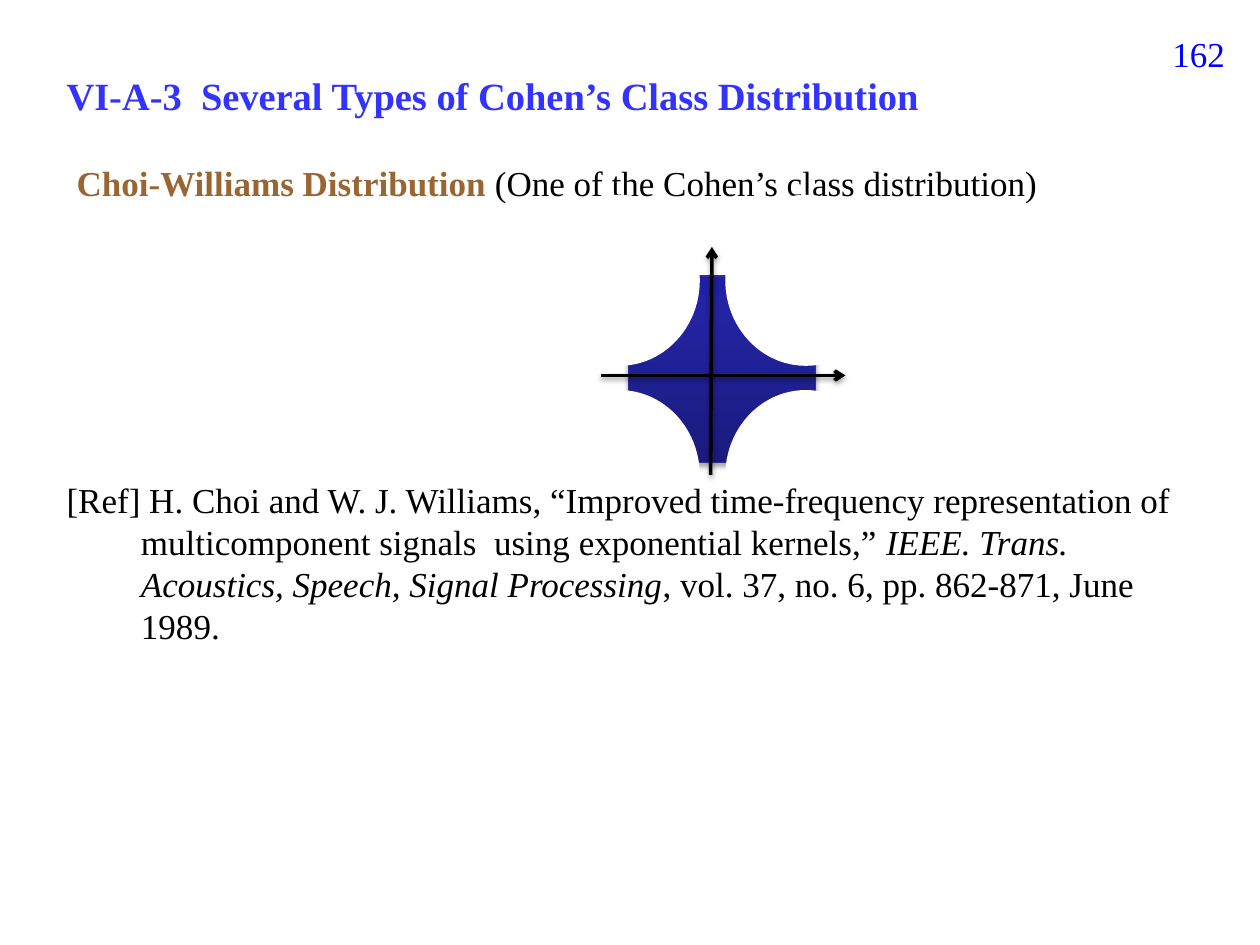
from dataclasses import dataclass
from itertools import product

from lxml.etree import SubElement
from pptx import Presentation
from pptx.dml.color import RGBColor
from pptx.enum.shapes import MSO_CONNECTOR, MSO_SHAPE
from pptx.enum.text import PP_ALIGN
from pptx.oxml.ns import qn
from pptx.util import Inches, Pt


@dataclass(frozen=True)
class Theme:
    font: str = "Times New Roman"
    heading_size: int = 22
    body_size: int = 20
    heading: str = "3333FF"
    page_number: str = "0000FF"
    term: str = "996633"
    ink: str = "000000"
    paper: str = "FFFFFF"
    kernel_edge: str = "2F2F98"
    kernel_stops: tuple = ((0, "1B1B7E"), (80, "2323A3"), (100, "2020A6"))


THEME = Theme()


def color(value):
    return RGBColor.from_string(value)


def add_text(slide, box, runs, size=THEME.body_size, align=PP_ALIGN.LEFT, hanging=0):
    """Place one paragraph; runs are (text, colour, font format) triples."""
    frame = slide.shapes.add_textbox(*map(Inches, box)).text_frame
    frame.word_wrap = True
    paragraph = frame.paragraphs[0]
    paragraph.alignment = align
    if hanging:
        properties = paragraph._p.get_or_add_pPr()
        properties.set("marL", str(Inches(hanging)))
        properties.set("indent", str(-Inches(hanging)))
    for text, ink, formats in runs:
        run = paragraph.add_run()
        run.text = text
        run.font.color.rgb = color(ink)
        for name, value in {"name": THEME.font, "size": Pt(size), **formats}.items():
            setattr(run.font, name, value)


def add_shadow(shape, opacity, distance):
    effects = SubElement(shape._element.spPr, qn("a:effectLst"))
    shadow = SubElement(effects, qn("a:outerShdw"), blurRad=str(Pt(3.1)),
                        dist=str(Pt(distance)), dir="5400000", rotWithShape="0")
    ink = SubElement(shadow, qn("a:srgbClr"), val=THEME.ink)
    SubElement(ink, qn("a:alpha"), val=str(opacity * 1000))


def add_kernel_square(shapes, box):
    square = shapes.add_shape(MSO_SHAPE.RECTANGLE, *map(Inches, box))
    square.fill.gradient()
    square.fill.gradient_angle = 90
    stops = square._element.spPr.find(".//" + qn("a:gsLst"))
    stops.clear()
    for position, value in THEME.kernel_stops:
        stop = SubElement(stops, qn("a:gs"), pos=str(position * 1000))
        SubElement(stop, qn("a:srgbClr"), val=value)
    square.line.color.rgb = color(THEME.kernel_edge)
    square.line.width = Pt(0.75)
    add_shadow(square, opacity=35, distance=1.8)


def add_axis(shapes, start, end):
    axis = shapes.add_connector(MSO_CONNECTOR.STRAIGHT, *map(Inches, start + end))
    axis.line.color.rgb = color(THEME.ink)
    axis.line.width = Pt(2)
    SubElement(axis.line._get_or_add_ln(), qn("a:tailEnd"), type="arrow")
    add_shadow(axis, opacity=38, distance=1.6)


def add_mask(shapes, box):
    mask = shapes.add_shape(MSO_SHAPE.OVAL, *map(Inches, box))
    mask.shadow.inherit = False
    mask.fill.solid()
    mask.fill.fore_color.rgb = color(THEME.paper)
    mask.line.color.rgb = color(THEME.paper)
    mask.line.width = Pt(2)


def add_kernel_diagram(slide, box):
    """A shaded square with axes, its four corners cut away by ovals."""
    left, top, width, height = box
    shapes = slide.shapes.add_group_shape().shapes

    # Shaded square
    add_kernel_square(shapes, (left + 0.7, top + 0.63, 1.48, 1.48))

    # Vertical and horizontal axes
    add_axis(shapes, (left + 1.35, top + 2.21), (left + 1.36, top + 0.4))
    add_axis(shapes, (left + 0.48, top + 1.42), (left + 2.42, top + 1.42))

    # Ovals in the four corners of the box
    oval_width, oval_height = 1.25, 1.33
    for column, row in product((0, 1), repeat=2):
        add_mask(shapes, (left + column * (width - oval_width),
                          top + row * (height - oval_height),
                          oval_width, oval_height))


def add_header(slide, box):
    """Page number, subtitle and heading."""
    left, top, width, height = box
    add_text(slide, (left + width - 0.88, top, 0.88, 0.52),
             [("162", THEME.page_number, {})], align=PP_ALIGN.RIGHT)
    add_text(slide, (left + 0.08, top + height - 0.43, 8.27, 0.43),
             [("Choi-Williams Distribution", THEME.term, {"bold": True}),
              (" (One of the Cohen’s class distribution)", THEME.ink, {})])
    add_text(slide, (left, top + 0.31, 8.58, 0.47),
             [("VI-A-3  Several Types of Cohen’s Class Distribution",
               THEME.heading, {"bold": True})], size=THEME.heading_size)


def add_reference(slide, box):
    add_text(slide, box, [
        ("[Ref] H. Choi and W. J. Williams, “Improved time-frequency representation "
         "of multicomponent signals  using exponential kernels,” ", THEME.ink, {}),
        ("IEEE. Trans. Acoustics, Speech, Signal Processing", THEME.ink, {"italic": True}),
        (", vol. 37, no. 6, pp. 862-871, June 1989.", THEME.ink, {}),
    ], hanging=0.59)


def main():
    presentation = Presentation()
    presentation.slide_width, presentation.slide_height = Inches(10), Inches(7.5)
    slide = presentation.slides.add_slide(presentation.slide_layouts[6])
    margin = 0.43
    add_header(slide, (margin, 0.21, 9.39, 1.45))
    add_kernel_diagram(slide, (4.29, 1.56, 2.73, 2.88))
    add_reference(slide, (margin, 3.75, 8.98, 1.43))
    presentation.save("out.pptx")


if __name__ == "__main__":
    main()
